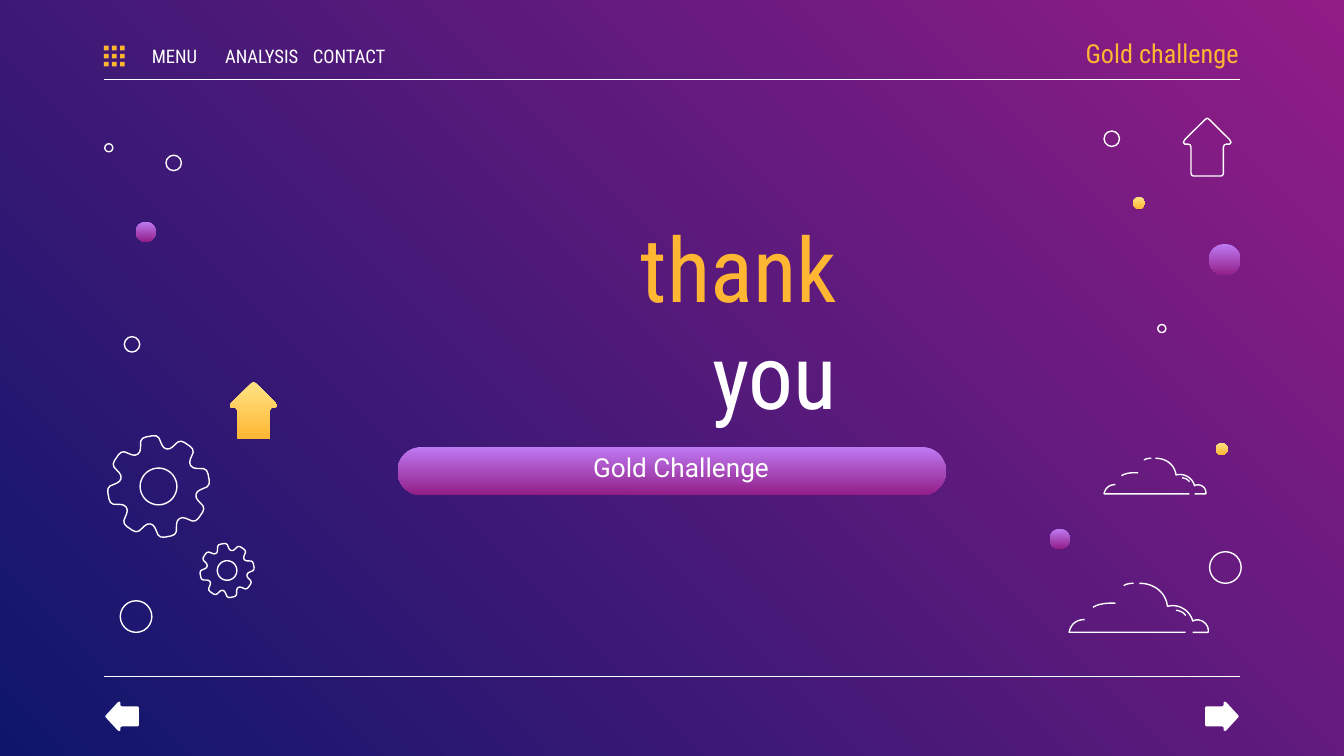
import math

import lxml.etree
import pptx
import pptx.dml.color
import pptx.enum.shapes
import pptx.enum.text
import pptx.oxml.ns
import pptx.util

COLUMNS, ROWS = 100, 56.25
CELL = pptx.util.Inches(10) / COLUMNS
COLORS = {"white": "FFFFFF", "gold": "FFB632", "pale_gold": "FFE485",
          "lilac": "BE7AF3", "magenta": "921D87", "navy": "0E166C"}
GRADIENTS = {"purple": ("lilac", "magenta"), "yellow": ("pale_gold", "gold")}
SHAPES = pptx.enum.shapes.MSO_SHAPE
ALIGN = pptx.enum.text.PP_ALIGN

ARROW_HALF = [(0.5, 0), (0.54, 0.02), (0.97, 0.37), (1, 0.42), (0.97, 0.45), (0.9, 0.45),
              (0.86, 0.46), (0.84, 0.5), (0.84, 0.96), (0.82, 0.99), (0.79, 1)]
TOOTH_HALF = [(4, 1), (8, 0.99), (11, 0.95), (13, 0.88), (15, 0.82), (18, 0.77), (22.5, 0.75)]
CLOUD_STROKES = [
    [(0.5, 0), [(0.61, 0), (0.69, 0.2), (0.7, 0.47)], [(0.78, 0.41), (0.86, 0.55), (0.88, 0.77)],
     [(0.93, 0.69), (1, 0.82), (0.99, 1)], [(0.88, 1)]],
    [(0.46, 0), [(0.46, 0), (0.41, 0), (0.39, 0.05)]],
    [(0.83, 1), [(0, 1)], [(0, 1), (0.01, 0.74), (0.11, 0.74)]],
    [(0.76, 0.55), [(0.76, 0.55), (0.81, 0.56), (0.83, 0.66)]],
    [(0.33, 0.41), [(0.33, 0.41), (0.23, 0.38), (0.17, 0.49)]],
]


def cells(*values):
    """Turn grid cells into whole EMU lengths."""
    return [pptx.util.Emu(round(value * CELL)) for value in values]


def rgb(name):
    """Look up a named colour."""
    return pptx.dml.color.RGBColor.from_string(COLORS[name])


def fill_gradient(fill, names, angle):
    """Fill with two colours at a counter-clockwise angle."""
    fill.gradient()
    fill.gradient_angle = angle
    for stop, name, position in zip(fill.gradient_stops, names, (0, 1)):
        stop.color.rgb = rgb(name)
        stop.position = position


def paint(shape, style):
    """Give a shape the outline, a gradient or a plain fill."""
    shape.shadow.inherit = False
    if style == "outline":
        shape.fill.background()
        shape.line.color.rgb = rgb("white")
        shape.line.width = pptx.util.Pt(0.75)
        return shape
    shape.line.fill.background()
    if style in GRADIENTS:
        fill_gradient(shape.fill, GRADIENTS[style], 270)
    else:
        shape.fill.solid()
        shape.fill.fore_color.rgb = rgb(style)
    return shape


def add_preset(slide, kind, box, style):
    """Add a painted preset shape."""
    return paint(slide.shapes.add_shape(kind, *cells(*box)), style)


def add_outline(slide, contours, style, closed=True):
    """Add a freeform made of contours of grid points."""
    builder = slide.shapes.build_freeform(*cells(*contours[0][0]))
    for index, contour in enumerate(contours):
        if index:
            builder.move_to(*cells(*contour[0]))
        builder.add_line_segments([cells(*point) for point in contour[1:]], close=closed)
    return paint(builder.convert_to_shape(), style)


def add_text(slide, box, runs, size, font, alignment, insets=(1, 1)):
    """Add a middle-anchored paragraph of coloured runs."""
    frame = slide.shapes.add_textbox(*cells(*box)).text_frame
    frame.word_wrap = True
    frame.vertical_anchor = pptx.enum.text.MSO_ANCHOR.MIDDLE
    frame.margin_left, frame.margin_right = cells(*insets)
    frame.margin_top, frame.margin_bottom = cells(1, 1)
    paragraph = frame.paragraphs[0]
    paragraph.alignment = alignment
    paragraph.font.size = pptx.util.Pt(size)
    paragraph.font.name = font
    for text, color in runs:
        run = paragraph.add_run()
        run.text = text
        run.font.color.rgb = rgb(color)


def add_rule(slide, left, top, width):
    """Draw a thin horizontal line."""
    connector = slide.shapes.add_connector(
        pptx.enum.shapes.MSO_CONNECTOR.STRAIGHT, *cells(left, top, left + width, top))
    connector.line.color.rgb = rgb("white")
    connector.line.width = pptx.util.Pt(0.75)
    lxml.etree.SubElement(connector._element.spPr, pptx.oxml.ns.qn("a:effectLst"))


def add_arrow(slide, box, style, rotation=0):
    """Draw a rounded arrow that points up before rotation."""
    left, top, width, height = box
    outline = ARROW_HALF + [(1 - x, y) for x, y in reversed(ARROW_HALF[1:])]
    points = [(left + x * width, top + y * height) for x, y in outline]
    add_outline(slide, [points], style).rotation = rotation


def add_gear(slide, center_x, center_y, radius):
    """Draw an eight-toothed gear with a round hole."""
    tooth = [(-angle, share) for angle, share in reversed(TOOTH_HALF)] + TOOTH_HALF
    rim = [(45 * number - 10.5 + angle, share) for number in range(8) for angle, share in tooth]
    hole = [(angle, 0.36) for angle in range(0, 360, 10)]
    contours = [[(center_x + radius * share * math.sin(math.radians(angle)),
                  center_y - radius * share * math.cos(math.radians(angle)))
                 for angle, share in ring] for ring in (rim, hole)]
    add_outline(slide, contours, "outline")


def trace(stroke, steps=12):
    """Sample a stroke of straight and cubic segments."""
    points = [stroke[0]]
    for segment in stroke[1:]:
        if len(segment) == 1:
            points += segment
            continue
        controls = [points[-1], *segment]
        for step in range(1, steps + 1):
            t = step / steps
            weights = [math.comb(3, k) * t ** k * (1 - t) ** (3 - k) for k in range(4)]
            points.append(tuple(sum(weight * control[axis] for weight, control
                                    in zip(weights, controls)) for axis in (0, 1)))
    return points


def add_cloud(slide, box):
    """Draw a grouped cloud of open strokes."""
    left, top, width, height = box
    strokes = [add_outline(slide, [[(left + x * width, top + y * height)
                                    for x, y in trace(stroke)]], "outline", closed=False)
               for stroke in CLOUD_STROKES]
    slide.shapes.add_group_shape(strokes)


def add_header(slide, box):
    """Place the menu, the deck name and the rule."""
    left, top, width, height = box
    add_rule(slide, left, top + height, width)
    dots = [add_preset(slide, SHAPES.RECTANGLE,
                       (left + 0.6 * column, top + 1.1 + 0.6 * row, 0.35, 0.35), "gold")
            for column in range(3) for row in range(3)]
    slide.shapes.add_group_shape(dots)
    for index, label in enumerate(("MENU", "ANALYSIS", "CONTACT")):
        add_text(slide, (left + 2.4 + 6.5 * index, top + 0.7, 5.7, 2.3), [(label, "white")],
                 10, "Roboto Condensed", ALIGN.CENTER, (0, 0))
    add_text(slide, (left + width - 15.1, top, 15, 3.3), [("Gold challenge", "gold")],
             14, "Roboto Condensed", ALIGN.RIGHT, (1, 0))


def add_footer(slide, box):
    """Place the rule and the two page arrows."""
    left, top, width, _ = box
    add_rule(slide, left, top, width)
    for offset, rotation in ((0.25, 270), (width - 2.45, 90)):
        add_arrow(slide, (left + offset, top + 1.7, 2.2, 2.5), "white", rotation)


def add_closing(slide, box):
    """Place the thanks and the labelled pill."""
    left, top, width, height = box
    pill = add_preset(slide, SHAPES.ROUNDED_RECTANGLE,
                      (left, top + height - 3.6, width, 3.6), "purple")
    pill.adjustments[0] = 0.5
    add_text(slide, (left + 8, top, 25.7, 11.4), [("thank", "gold"), (" you", "white")],
             48, "Roboto Condensed", ALIGN.RIGHT)
    add_text(slide, (left + 0.7, top + height - 3.1, width, 2), [("Gold Challenge", "white")],
             14, "Roboto", ALIGN.CENTER)


def add_scenery(slide, box, circles, arrow, gears=(), clouds=()):
    """Scatter circles, an arrow, gears and clouds over a side panel."""
    left, top, _, _ = box
    for x, y, diameter, style in circles:
        add_preset(slide, SHAPES.OVAL, (left + x, top + y, diameter, diameter), style)
    x, y, style = arrow
    add_arrow(slide, (left + x, top + y, 3.55, 4.3), style)
    for x, y, radius in gears:
        add_gear(slide, left + x, top + y, radius)
    for x, y, width, height in clouds:
        add_cloud(slide, (left + x, top + y, width, height))


def main():
    """Build and save the closing slide."""
    presentation = pptx.Presentation()
    presentation.slide_width, presentation.slide_height = cells(COLUMNS, ROWS)
    slide = presentation.slides.add_slide(presentation.slide_layouts[6])
    fill_gradient(slide.background.fill, ("magenta", "navy"), 225)
    add_header(slide, (7.73, 2.3, 84.54, 3.6))
    add_footer(slide, (7.73, 50.35, 84.54, 5.9))
    add_closing(slide, (29.58, 18.13, 40.8, 18.73))
    add_scenery(
        slide, (7.7, 9, 13, 39),
        [(0.1, 1.7, 0.6, "outline"), (4.65, 2.55, 1.15, "outline"), (2.4, 7.5, 1.5, "purple"),
         (1.55, 16.05, 1.15, "outline"), (1.25, 35.7, 2.35, "outline")],
        (9.4, 19.4, "yellow"), gears=[(4.1, 27.2, 3.8), (9.2, 33.45, 2.02)])
    add_scenery(
        slide, (78, 8.5, 14.5, 39),
        [(4.15, 1.25, 1.15, "outline"), (6.3, 6.15, 0.9, "yellow"), (11.95, 9.65, 2.35, "purple"),
         (8.15, 15.65, 0.6, "outline"), (12.45, 24.45, 0.9, "yellow"), (0.1, 30.85, 1.5, "purple"),
         (12, 32.55, 2.35, "outline")],
        (10.05, 0.3, "outline"), clouds=[(4.15, 25.6, 7.65, 2.65), (1.55, 34.9, 10.45, 3.65)])
    presentation.save("out.pptx")


if __name__ == "__main__":
    main()
